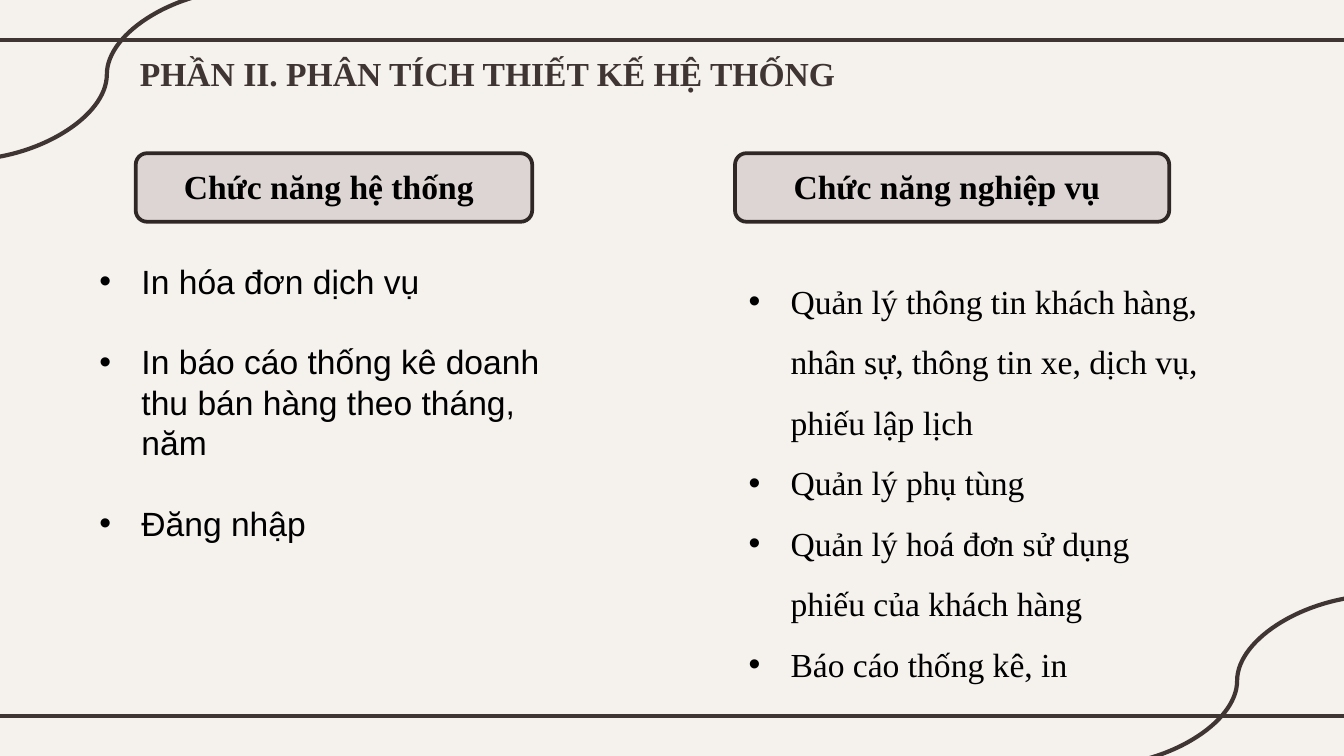
"""Build the slide listing the system functions and the business functions."""
from lxml import etree
from pptx import Presentation
from pptx.dml.color import RGBColor
from pptx.enum.shapes import MSO_CONNECTOR, MSO_SHAPE
from pptx.enum.text import MSO_ANCHOR, MSO_AUTO_SIZE, PP_ALIGN
from pptx.oxml.ns import qn
from pptx.util import Pt

STRAIGHT, CURVE = MSO_CONNECTOR.STRAIGHT, MSO_CONNECTOR.CURVE
ROUNDED = MSO_SHAPE.ROUNDED_RECTANGLE
TOP, MIDDLE = MSO_ANCHOR.TOP, MSO_ANCHOR.MIDDLE
LEFT, CENTER = PP_ALIGN.LEFT, PP_ALIGN.CENTER
FIXED = MSO_AUTO_SIZE.NONE

COLORS = {"paper": "F5F2EE", "ornament": "3F3533", "label": "DCD5D3",
          "border": "2F2726", "text": "000000"}
SERIF, SANS = "Times New Roman", "Arial"
TEXT_SIZE = 18
HANGING = 22.5

TITLE = "PHẦN II. PHÂN TÍCH THIẾT KẾ HỆ THỐNG"
TITLE_FRAME = (67.7, 24.5, 400.3, 29)
COLUMNS = [
    {"label": "Chức năng hệ thống", "label_frame": (72.7, 82.1, 212.4, 36.7),
     "items": ["In hóa đơn dịch vụ",
               "In báo cáo thống kê doanh thu bán hàng theo tháng, năm",
               "Đăng nhập"],
     "list_frame": (46.1, 136.1, 266.4, 160), "font": SANS,
     "line_spacing": 1.0, "gap": 21.6},
    {"label": "Chức năng nghiệp vụ", "label_frame": (393.8, 82.1, 232.6, 36.7),
     "items": ["Quản lý thông tin khách hàng, nhân sự, thông tin xe, dịch vụ, phiếu lập lịch",
               "Quản lý phụ tùng",
               "Quản lý hoá đơn sử dụng phiếu của khách hàng",
               "Báo cáo thống kê, in"],
     "list_frame": (393.8, 136.1, 262.8, 232.6), "font": SERIF,
     "line_spacing": 1.5, "gap": 0},
]
ORNAMENTS = [
    (STRAIGHT, (-6, 21.4, 726, 21.4)),
    (STRAIGHT, (-6, 383.8, 726, 383.8)),
    (CURVE, (738.7, 319, 586.8, 410.4)),
    (CURVE, (133.2, -5.8, -18.7, 85.7)),
]


def color(name):
    return RGBColor.from_string(COLORS[name])


def place(shape, frame):
    shape.left, shape.top, shape.width, shape.height = map(Pt, frame)


def prepare(shape, anchor):
    text = shape.text_frame
    text.word_wrap = True
    text.auto_size = FIXED
    text.vertical_anchor = anchor
    return text


def write(para, words, font, color_name, bold, align):
    para.alignment = align
    span = para.add_run()
    span.text = words
    span.font.name = font
    span.font.size = Pt(TEXT_SIZE)
    span.font.bold = bold
    span.font.color.rgb = color(color_name)


def add_ornament(slide, kind, ends):
    line = slide.shapes.add_connector(kind, *map(Pt, ends))
    line.line.color.rgb = color("ornament")
    line.line.width = Pt(2.25)
    etree.SubElement(line.element.spPr, qn("a:effectLst"))


def add_label(slide, words, frame):
    box = slide.shapes.add_shape(ROUNDED, *map(Pt, frame))
    box.shadow.inherit = False
    box.fill.solid()
    box.fill.fore_color.rgb = color("label")
    box.line.color.rgb = color("border")
    box.line.width = Pt(2)
    text = prepare(box, MIDDLE)
    text.margin_right = Pt(12.6)
    text.margin_bottom = Pt(5.6)
    write(text.paragraphs[0], words, SERIF, "text", True, CENTER)


def fill_list(body, column):
    place(body, column["list_frame"])
    text = prepare(body, TOP)
    for index, item in enumerate(column["items"]):
        para = text.add_paragraph() if index else text.paragraphs[0]
        para.line_spacing = column["line_spacing"]
        para.space_before = Pt(column["gap"] if index else 0)
        write(para, item, column["font"], "text", False, LEFT)
        properties = para._p.get_or_add_pPr()
        properties.set("marL", str(Pt(HANGING)))
        properties.set("indent", str(-Pt(HANGING)))
        bullet = etree.SubElement(properties, qn("a:buChar"))
        bullet.set("char", "•")


def main():
    deck = Presentation()
    deck.slide_width, deck.slide_height = Pt(720), Pt(405)
    slide = deck.slides.add_slide(deck.slide_layouts.get_by_name("Two Content"))
    slide.background.fill.solid()
    slide.background.fill.fore_color.rgb = color("paper")
    for kind, ends in ORNAMENTS:
        add_ornament(slide, kind, ends)
    title = slide.shapes.title
    place(title, TITLE_FRAME)
    write(prepare(title, TOP).paragraphs[0], TITLE, SERIF, "ornament", True, LEFT)
    for index, column in enumerate(COLUMNS, start=1):
        add_label(slide, column["label"], column["label_frame"])
        fill_list(slide.placeholders[index], column)
    deck.save("out.pptx")


if __name__ == "__main__":
    main()
